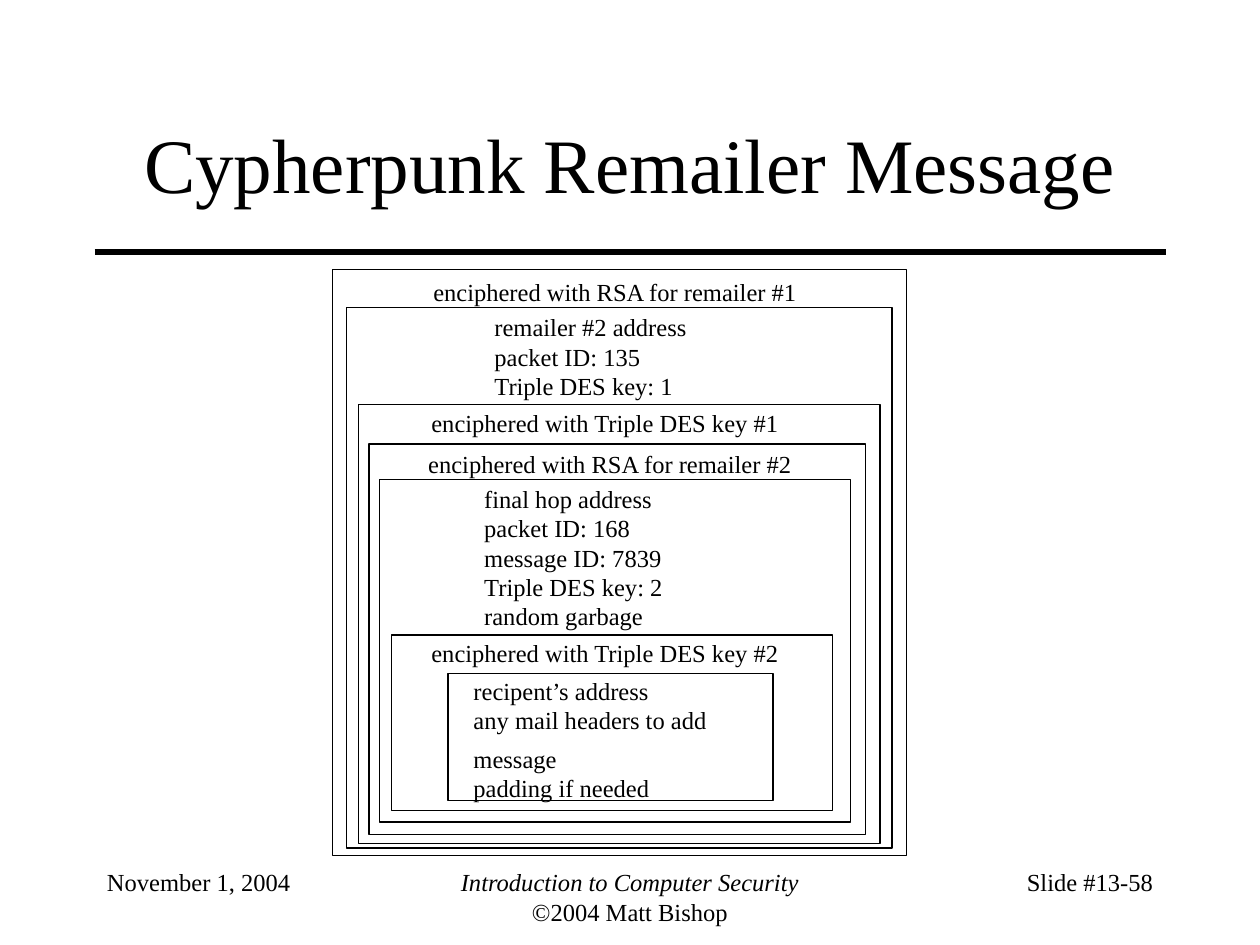
from dataclasses import dataclass

from lxml import etree
from pptx import Presentation
from pptx import util as u
from pptx.dml.color import RGBColor
from pptx.enum import shapes, text
from pptx.oxml.ns import qn

COLUMNS, ROWS = 100, 75
BLACK = "000000"
LEFT, CENTER, RIGHT = text.PP_ALIGN.LEFT, text.PP_ALIGN.CENTER, text.PP_ALIGN.RIGHT

deck = Presentation()
deck.slide_width, deck.slide_height = u.Inches(10), u.Inches(7.5)


@dataclass(frozen=True)
class Area:
    """A rectangle in grid columns and rows."""
    column: float
    row: float
    width: float
    height: float

    def lengths(self) -> tuple[int, int, int, int]:
        return across(self.column), down(self.row), across(self.width), down(self.height)


@dataclass(frozen=True)
class Line:
    words: str
    italic: bool = False
    spacing: float = 1.0


@dataclass(frozen=True)
class Label:
    area: Area
    lines: tuple[Line, ...]
    align: text.PP_ALIGN = LEFT
    size: int = 14
    wrap: bool = False
    anchor: text.MSO_ANCHOR = text.MSO_ANCHOR.TOP


def across(columns: float) -> int:
    return round(deck.slide_width * columns / COLUMNS)


def down(rows: float) -> int:
    return round(deck.slide_height * rows / ROWS)


def color(value: str) -> RGBColor:
    return RGBColor.from_string(value)


def lines(*words: str) -> tuple[Line, ...]:
    return tuple(Line(item) for item in words)


def draw_rule(page, column: float, row: float, width: float) -> None:
    rule = page.shapes.add_connector(
        shapes.MSO_CONNECTOR.STRAIGHT,
        across(column), down(row), across(column + width), down(row))
    rule.line.color.rgb = color(BLACK)
    rule.line.width = u.Pt(3)
    etree.SubElement(rule._element.spPr, qn("a:effectLst"))


def draw_layer(page, area: Area) -> None:
    """Draw one outlined envelope of the nested message."""
    layer = page.shapes.add_shape(shapes.MSO_SHAPE.RECTANGLE, *area.lengths())
    layer.shadow.inherit = False
    layer.fill.background()
    layer.line.color.rgb = color(BLACK)
    layer.line.width = u.Pt(0.75)


def draw_label(page, label: Label) -> None:
    box = page.shapes.add_textbox(*label.area.lengths())
    frame = box.text_frame
    fit = text.MSO_AUTO_SIZE.NONE if label.wrap else text.MSO_AUTO_SIZE.SHAPE_TO_FIT_TEXT
    frame_format = {"word_wrap": label.wrap, "auto_size": fit, "vertical_anchor": label.anchor}
    for name, value in frame_format.items():
        setattr(frame, name, value)
    for index, line in enumerate(label.lines):
        para = frame.add_paragraph() if index else frame.paragraphs[0]
        para.alignment = label.align
        para.line_spacing = line.spacing
        span = para.add_run()
        span.text = line.words
        font_format = {"name": "Times New Roman", "size": u.Pt(label.size), "italic": line.italic}
        for name, value in font_format.items():
            setattr(span.font, name, value)
        span.font.color.rgb = color(BLACK)


LAYERS = (
    Area(35.55, 53.45, 25.8, 10.1),
    Area(31.1, 50.4, 35, 13.9),
    Area(30.1, 38.05, 37.4, 27.2),
    Area(29.3, 35.25, 39.4, 31),
    Area(28.45, 32.1, 41.4, 34.85),
    Area(27.5, 24.4, 43.3, 42.9),
    Area(26.4, 21.4, 45.55, 46.5),
)

HEADINGS = (
    Label(Area(33.4, 21.5, 31.2, 3.4), lines("enciphered with RSA for remailer #1")),
    Label(Area(33.25, 31.9, 29.8, 3.4), lines("enciphered with Triple DES key #1")),
    Label(Area(33, 35.15, 31.2, 3.4), lines("enciphered with RSA for remailer #2")),
    Label(Area(33.25, 50.15, 29.8, 3.4), lines("enciphered with Triple DES key #2")),
)

CONTENTS = (
    Label(Area(38.25, 24.3, 17.5, 8),
          lines("remailer #2 address", "packet ID: 135", "Triple DES key: 1")),
    Label(Area(37.45, 37.9, 16.4, 12.7),
          lines("final hop address", "packet ID: 168", "message ID: 7839",
                "Triple DES key: 2", "random garbage")),
    Label(Area(36.6, 53.15, 20.7, 11.1),
          (*lines("recipent’s address", "any mail headers to add"),
           Line("message", spacing=1.3), Line("padding if needed"))),
)

TITLE = Label(Area(7.5, 6.65, 85, 12.5), lines("Cypherpunk Remailer Message"),
              CENTER, size=44, wrap=True, anchor=text.MSO_ANCHOR.MIDDLE)

FOOTERS = (
    Label(Area(7.5, 68.33, 20.83, 5), lines("November 1, 2004"), wrap=True),
    Label(Area(34.15, 68.33, 31.7, 5),
          (Line("Introduction to Computer Security", italic=True), Line("©2004 Matt Bishop")),
          CENTER, wrap=True),
    Label(Area(71.67, 68.33, 20.83, 5), lines("Slide #13-58"), RIGHT, wrap=True),
)


def main() -> None:
    page = deck.slides.add_slide(deck.slide_layouts[6])
    draw_rule(page, 7.5, 20, 85)
    for layer in LAYERS:
        draw_layer(page, layer)
    for label in (TITLE, *HEADINGS, *CONTENTS, *FOOTERS):
        draw_label(page, label)
    deck.save("out.pptx")


if __name__ == "__main__":
    main()
